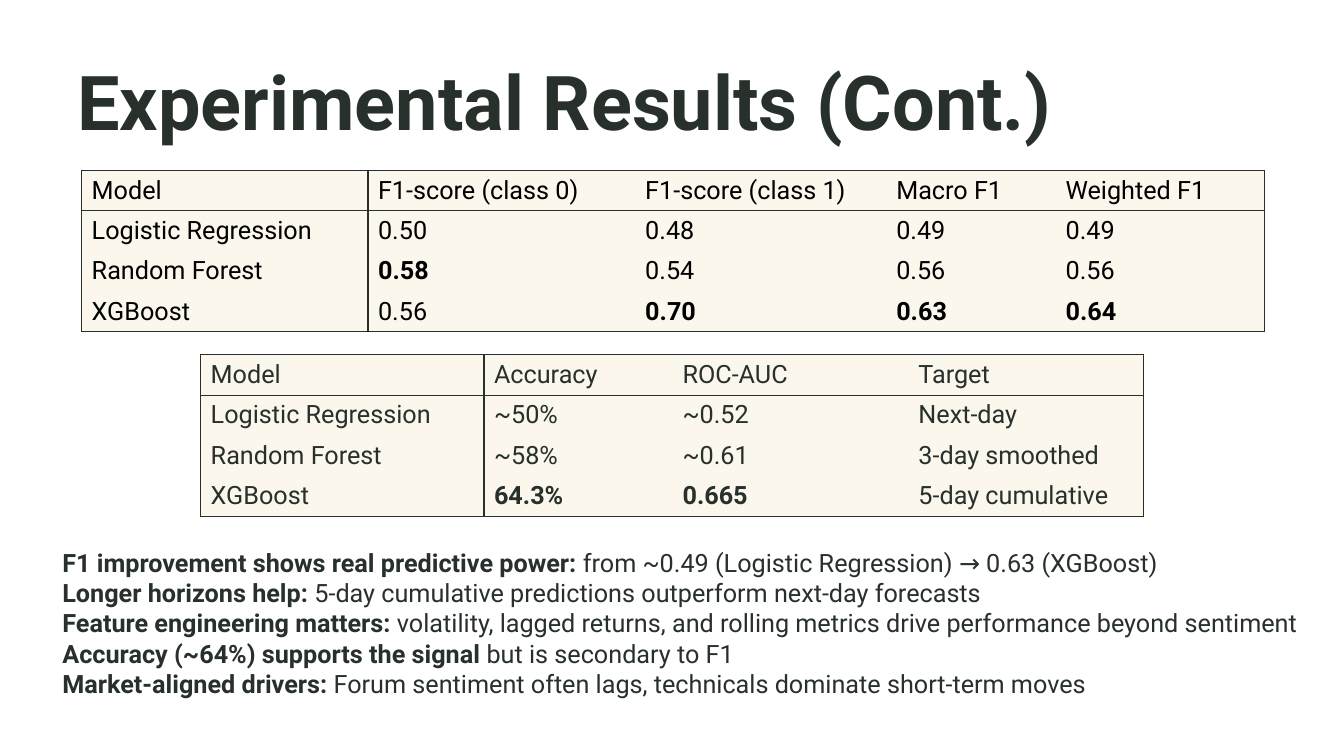
from dataclasses import dataclass

from lxml import etree
from pptx import Presentation
from pptx.dml.color import RGBColor
from pptx.enum import text
from pptx.oxml import ns
from pptx.util import Pt

PX = 9144
INK, BLACK, CREAM = "27302B", "000000", "FCF7EC"
FONT = "Roboto"
ROW_HEIGHT = 40


@dataclass(frozen=True)
class ResultTable:
    """One grid of model scores, with the best scores in bold."""
    left: int
    top: int
    widths: tuple[int, ...]
    color: str
    rows: tuple[tuple[str, ...], ...]
    best: frozenset[tuple[int, int]]


@dataclass(frozen=True)
class Finding:
    """One takeaway: a bold lead and its explanation."""
    lead: str
    detail: str


RESULTS = (
    ResultTable(199, 352, (281, 187, 234, 233), INK, (
        ("Model", "Accuracy", "ROC-AUC", "Target"),
        ("Logistic Regression", "~50%", "~0.52", "Next-day"),
        ("Random Forest", "~58%", "~0.61", "3-day smoothed"),
        ("XGBoost", "64.3%", "0.665", "5-day cumulative"),
    ), frozenset({(3, 1), (3, 2)})),
    ResultTable(81, 169, (284, 265, 249, 168, 207), BLACK, (
        ("Model", "F1-score (class 0)", "F1-score (class 1)", "Macro F1", "Weighted F1"),
        ("Logistic Regression", "0.50", "0.48", "0.49", "0.49"),
        ("Random Forest", "0.58", "0.54", "0.56", "0.56"),
        ("XGBoost", "0.56", "0.70", "0.63", "0.64"),
    ), frozenset({(2, 1), (3, 2), (3, 3), (3, 4)})),
)

FINDINGS = (
    Finding("F1 improvement shows real predictive power:",
            " from ~0.49 (Logistic Regression) → 0.63 (XGBoost)"),
    Finding("Longer horizons help:",
            " 5-day cumulative predictions outperform next-day forecasts"),
    Finding("Feature engineering matters:",
            " volatility, lagged returns, and rolling metrics drive performance beyond sentiment"),
    Finding("Accuracy (~64%) supports the signal", " but is secondary to F1"),
    Finding("Market-aligned drivers:",
            " Forum sentiment often lags, technicals dominate short-term moves"),
)


def rgb(color: str) -> RGBColor:
    """Turn a hex string into a colour."""
    return RGBColor.from_string(color)


def format_run(run, size: int, color: str, bold: bool) -> None:
    """Set the font of one run."""
    run.font.name = FONT
    run.font.size = Pt(size)
    run.font.bold = bold
    run.font.color.rgb = rgb(color)


def set_borders(cell, ruled: dict[str, bool]) -> None:
    """Rule the chosen sides of a cell and clear the others."""
    properties = cell._tc.get_or_add_tcPr()
    for position, (side, visible) in enumerate(ruled.items()):
        line = etree.Element(ns.qn(f"a:ln{side}"), w=str(Pt(1)))
        if visible:
            fill = etree.SubElement(line, ns.qn("a:solidFill"))
            etree.SubElement(fill, ns.qn("a:srgbClr"), val=INK)
        else:
            etree.SubElement(line, ns.qn("a:noFill"))
        properties.insert(position, line)


def add_results(slide, results: ResultTable) -> None:
    """Draw a score table framed and ruled off at its header and model column."""
    row_count, column_count = len(results.rows), len(results.widths)
    table = slide.shapes.add_table(
        row_count, column_count, results.left * PX, results.top * PX,
        sum(results.widths) * PX, row_count * ROW_HEIGHT * PX).table
    table.first_row = table.horz_banding = False
    for column, width in zip(table.columns, results.widths):
        column.width = width * PX
    for r, values in enumerate(results.rows):
        table.rows[r].height = ROW_HEIGHT * PX
        for c, value in enumerate(values):
            cell = table.cell(r, c)
            cell.text = value
            cell.vertical_anchor = text.MSO_ANCHOR.MIDDLE
            cell.fill.solid()
            cell.fill.fore_color.rgb = rgb(CREAM)
            format_run(cell.text_frame.paragraphs[0].runs[0], 18,
                       results.color, (r, c) in results.best)
            set_borders(cell, {
                "L": c <= 1,
                "R": c in (0, column_count - 1),
                "T": r <= 1,
                "B": r in (0, row_count - 1),
            })


def add_text_frame(slide, left: int, top: int, width: int, height: int):
    """Add a wrapping text box and return its text frame."""
    frame = slide.shapes.add_textbox(left * PX, top * PX, width * PX, height * PX).text_frame
    frame.word_wrap = True
    return frame


def add_title(slide) -> None:
    """Write the slide heading."""
    frame = add_text_frame(slide, 67, 60, 1165, 124)
    frame.text = "Experimental Results (Cont.)"
    heading = frame.paragraphs[0]
    heading.line_spacing = 0.9
    format_run(heading.runs[0], 54, INK, True)


def add_findings(slide) -> None:
    """Write the takeaways, one to a paragraph."""
    frame = add_text_frame(slide, 52, 538, 1249, 192)
    for index, finding in enumerate(FINDINGS):
        paragraph = frame.add_paragraph() if index else frame.paragraphs[0]
        for wording, bold in ((finding.lead, True), (finding.detail, False)):
            run = paragraph.add_run()
            run.text = wording
            format_run(run, 18, INK, bold)


def main() -> None:
    """Build and save the slide."""
    deck = Presentation()
    deck.slide_width, deck.slide_height = 1333 * PX, 750 * PX
    slide = deck.slides.add_slide(deck.slide_layouts[6])
    add_title(slide)
    for results in RESULTS:
        add_results(slide, results)
    add_findings(slide)
    deck.save("out.pptx")


if __name__ == "__main__":
    main()
